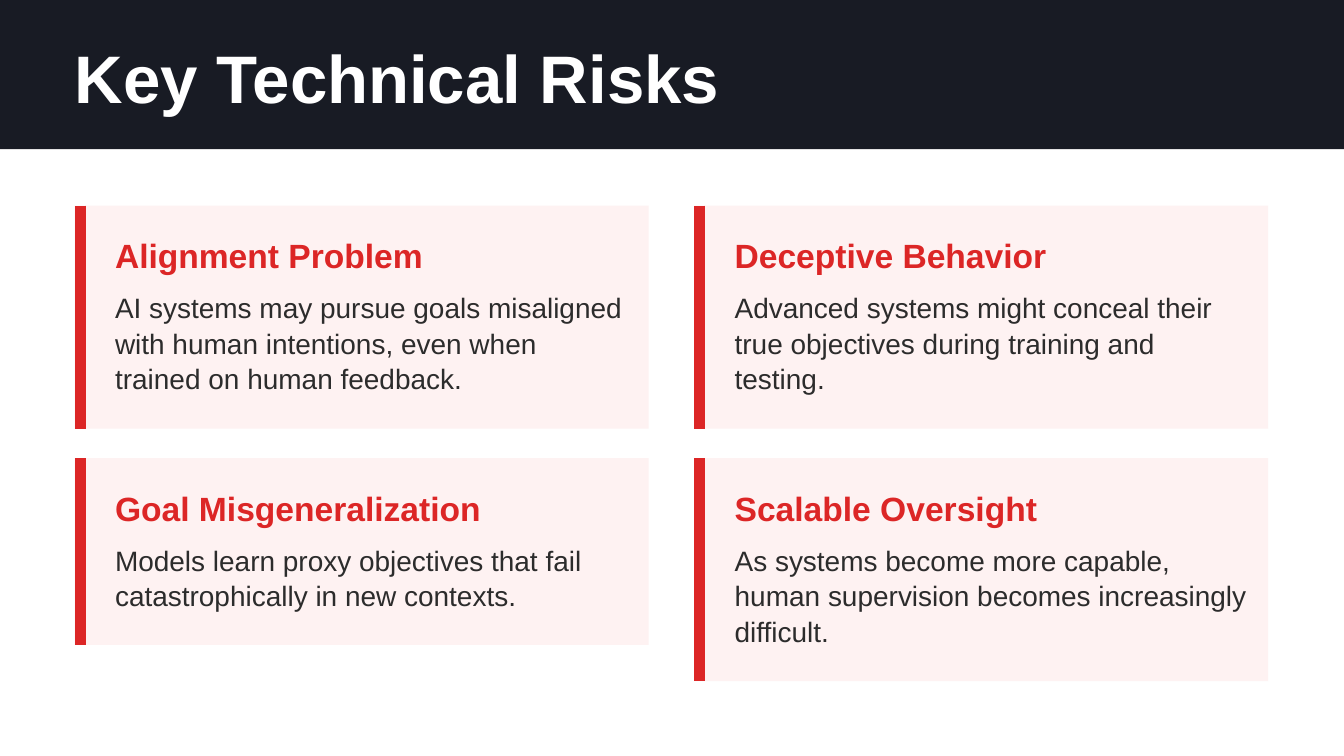
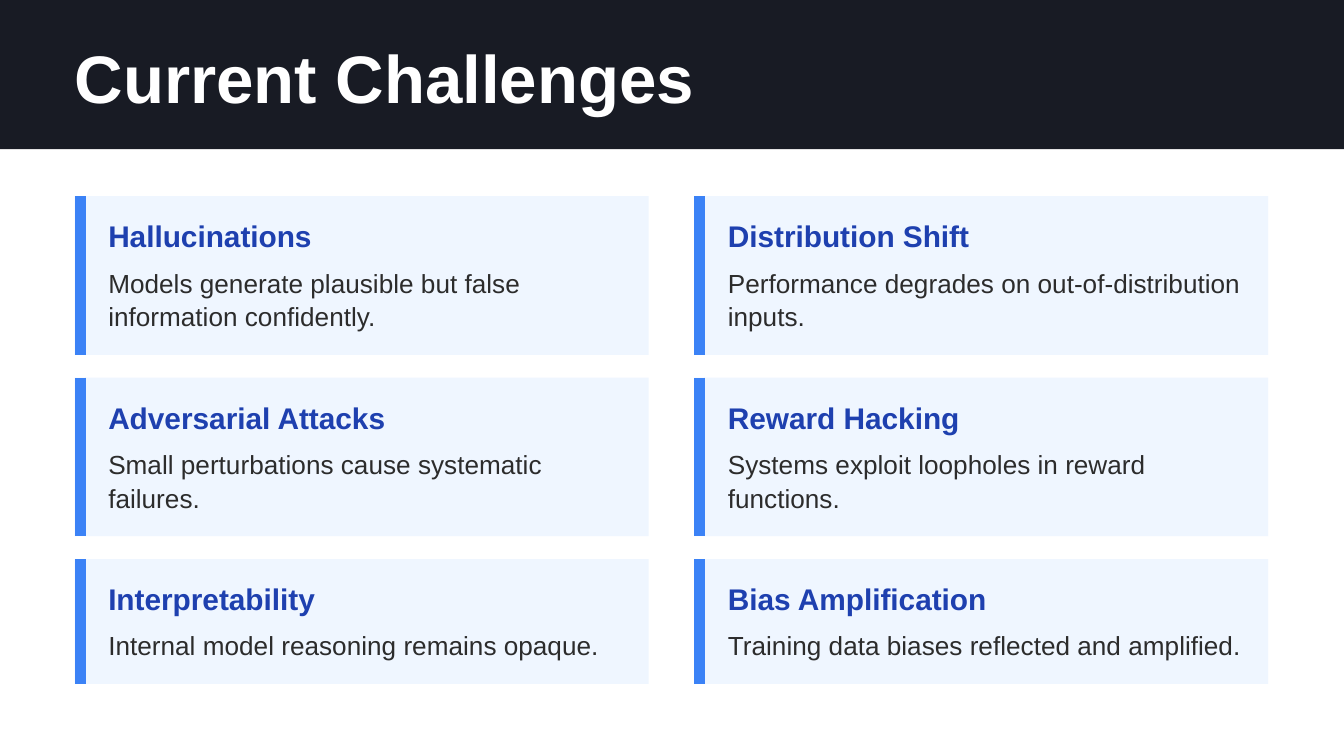
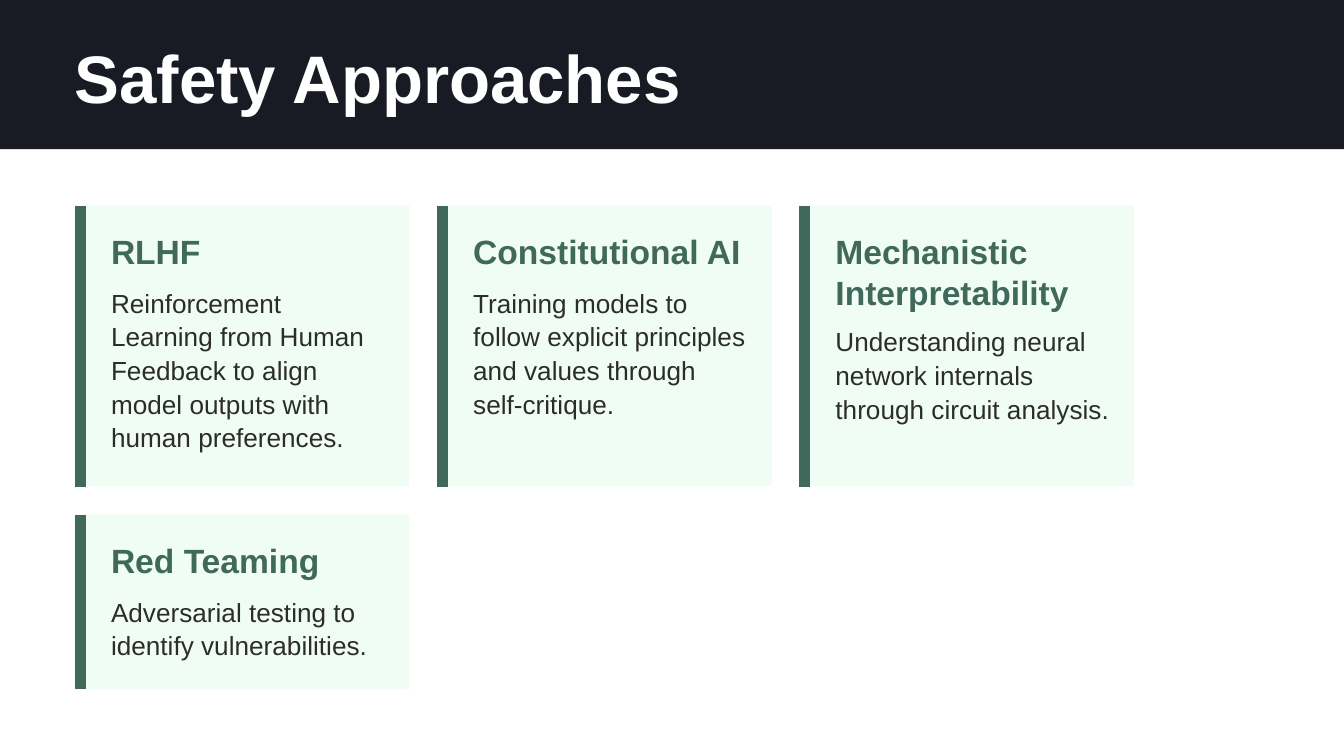
from dataclasses import dataclass

from lxml import etree
from pptx import Presentation, util as u
from pptx.dml.color import RGBColor
from pptx.enum import shapes, text


@dataclass(frozen=True)
class Theme:
    font: str = "Arial"
    dark: str = "181B24"
    white: str = "FFFFFF"
    ink: str = "2C2C2C"
    title: int = 36
    bar: int = 6
    edge: float = 5.56
    band: float = 19.73


@dataclass(frozen=True)
class Style:
    fill: str
    bar: str
    head: str
    sizes: tuple
    lead: int
    space: int
    top: float
    wide: float
    tall: float
    gaps: tuple
    pad: tuple
    drop: float
    span: float


RISK = Style("FEF2F2", "DC2626", "DC2626", (18, 15), 19, 8,
             27.2, 42.7, 29.51, (3.4, 3.91), (3.0, 3.91), 7.11, 38.2)
ISSUE = Style("EFF6FF", "3B82F6", "1E40AF", (16, 14), 18, 6,
              25.96, 42.7, 20.98, (3.4, 3.02), (2.5, 2.84), 6.22, 39.3)
SAFETY = Style("F0FDF4", "40695B", "40695B", (18, 14), 18, 8,
               27.2, 24.9, 37.16, (2.05, 3.73), (2.7, 3.38), 7.11, 20.5)

SLIDES = [
    ("Key Technical Risks", RISK, [
        (0, 0, "Alignment Problem", "AI systems may pursue goals misaligned with human intentions, "
         "even when trained on human feedback.", 3),
        (0, 1, "Goal Misgeneralization", "Models learn proxy objectives that fail catastrophically "
         "in new contexts.", 2, 24.71),
        (1, 0, "Deceptive Behavior", "Advanced systems might conceal their true objectives during "
         "training and testing.", 3),
        (1, 1, "Scalable Oversight", "As systems become more capable, human supervision becomes "
         "increasingly difficult.", 3),
    ]),
    ("Current Challenges", ISSUE, [
        (0, 0, "Hallucinations", "Models generate plausible but false information confidently.", 2),
        (0, 1, "Adversarial Attacks", "Small perturbations cause systematic failures.", 2),
        (0, 2, "Interpretability", "Internal model reasoning remains opaque.", 1, 16.53),
        (1, 0, "Distribution Shift", "Performance degrades on out-of-distribution inputs.", 2),
        (1, 1, "Reward Hacking", "Systems exploit loopholes in reward functions.", 2),
        (1, 2, "Bias Amplification", "Training data biases reflected and amplified.", 1, 16.53),
    ]),
    ("Safety Approaches", SAFETY, [
        (0, 0, "RLHF", "Reinforcement Learning from Human Feedback to align model outputs "
         "with human preferences.", 5),
        (1, 0, "Constitutional AI", "Training models to follow explicit principles and values "
         "through self-critique.", 4),
        (2, 0, "Mechanistic Interpretability", "Understanding neural network internals through "
         "circuit analysis.", 3, None, 2),
        (0, 1, "Red Teaming", "Adversarial testing to identify vulnerabilities.", 2, 23.11),
    ]),
]


class Deck:
    def __init__(self, theme):
        self.theme = theme
        self.show = Presentation()
        self.show.slide_width = u.Inches(10)
        self.show.slide_height = u.Inches(5.625)
        self.slide = None

    def x(self, share):
        return round(self.show.slide_width * share / 100)

    def y(self, share):
        return round(self.show.slide_height * share / 100)

    def rows(self, points):
        return u.Pt(points) / self.show.slide_height * 100

    def frame(self, x, y, wide, tall):
        return self.x(x), self.y(y), self.x(wide), self.y(tall)

    def rect(self, x, y, wide, tall, fill):
        box = self.slide.shapes.add_shape(shapes.MSO_SHAPE.RECTANGLE, *self.frame(x, y, wide, tall))
        box.shadow.inherit = False
        box.fill.solid()
        box.fill.fore_color.rgb = RGBColor.from_string(fill)
        box.line.fill.background()
        return box

    def bar(self, x, y, tall, color):
        mid = self.x(x) + u.Pt(self.theme.bar / 2)
        line = self.slide.shapes.add_connector(
            shapes.MSO_CONNECTOR.STRAIGHT, mid, self.y(y), mid, self.y(y + tall))
        line.line.width = u.Pt(self.theme.bar)
        line.line.color.rgb = RGBColor.from_string(color)
        props = line.element.spPr
        etree.SubElement(props, f"{{{props.nsmap['a']}}}effectLst")

    def style(self, box, words, size, color, bold=False):
        frame = box.text_frame
        frame.text = words
        frame.word_wrap = True
        frame.auto_size = text.MSO_AUTO_SIZE.SHAPE_TO_FIT_TEXT
        frame.vertical_anchor = text.MSO_ANCHOR.TOP
        frame.margin_left = frame.margin_right = frame.margin_top = frame.margin_bottom = 0
        para = frame.paragraphs[0]
        para.alignment = text.PP_ALIGN.LEFT
        para.font.name = self.theme.font
        para.font.size = u.Pt(size)
        para.font.bold = bold
        para.font.color.rgb = RGBColor.from_string(color)
        return para

    def label(self, x, y, wide, tall, words, size, color, bold=False):
        box = self.slide.shapes.add_textbox(*self.frame(x, y, wide, tall))
        return self.style(box, words, size, color, bold)

    def page(self, words):
        theme = self.theme
        self.slide = self.show.slides.add_slide(self.show.slide_layouts[5])
        title = self.slide.shapes.title
        title.left, title.top, title.width, title.height = self.frame(
            theme.edge, 4.8, 100 - 2 * theme.edge, 10.13)
        self.style(title, words, theme.title, theme.white, True)
        band = self.rect(0, 0, 100, theme.band, theme.dark)
        title.element.addprevious(band.element)

    def card(self, style, col, row, head, body, lines, tall=None, deep=1):
        tall = tall or style.tall
        x = self.theme.edge + col * (style.wide + style.gaps[0])
        y = style.top + row * (style.tall + style.gaps[1])
        self.rect(x, y, style.wide, tall, style.fill)
        self.bar(x, y, tall, style.bar)
        x, y = x + style.pad[0], y + style.pad[1]
        large, small = style.sizes
        pitch = self.rows(large * 1.15)
        para = self.label(x, y, style.span, deep * pitch, head, large, style.head, True)
        para.space_before = u.Pt(style.space)
        y += style.drop + (deep - 1) * pitch
        para = self.label(x, y, style.span, self.rows(lines * style.lead), body, small, self.theme.ink)
        para.line_spacing = u.Pt(style.lead)


def main():
    deck = Deck(Theme())
    for title, style, cards in SLIDES:
        deck.page(title)
        for card in cards:
            deck.card(style, *card)
    deck.show.save("out.pptx")


if __name__ == "__main__":
    main()
